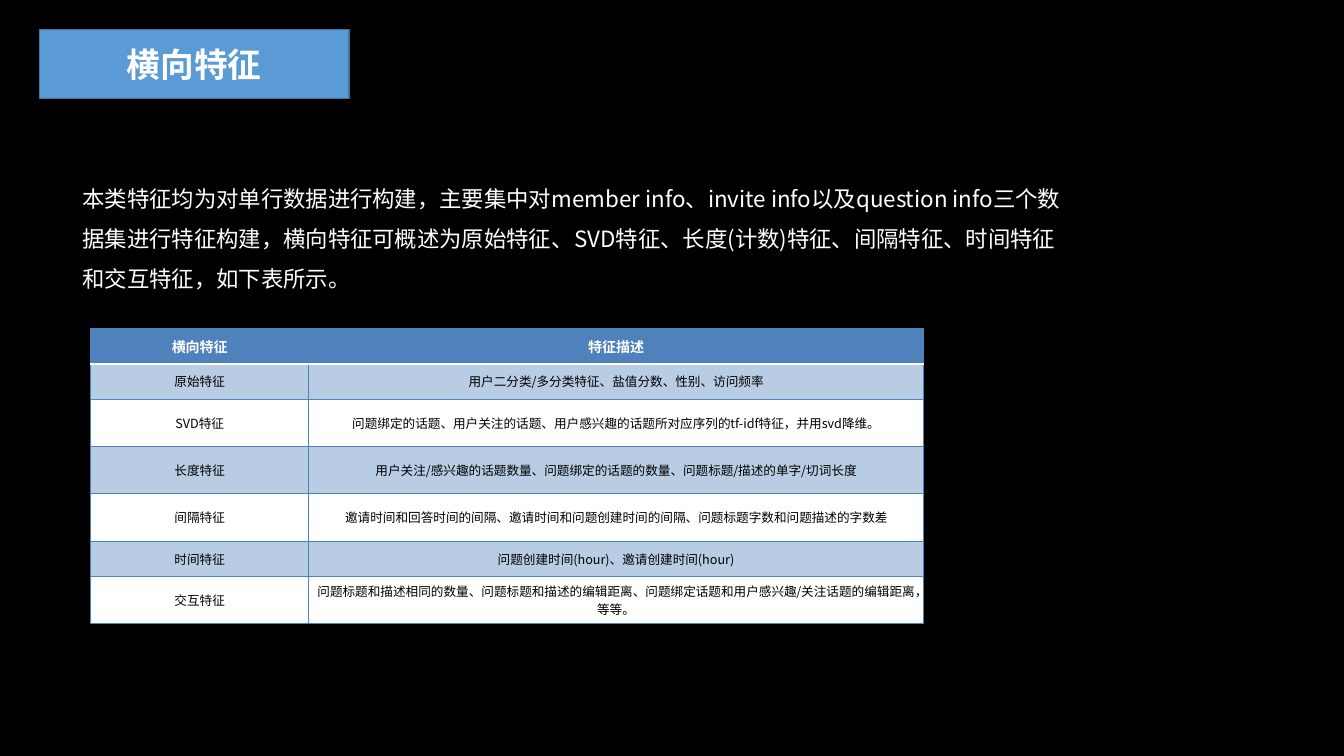
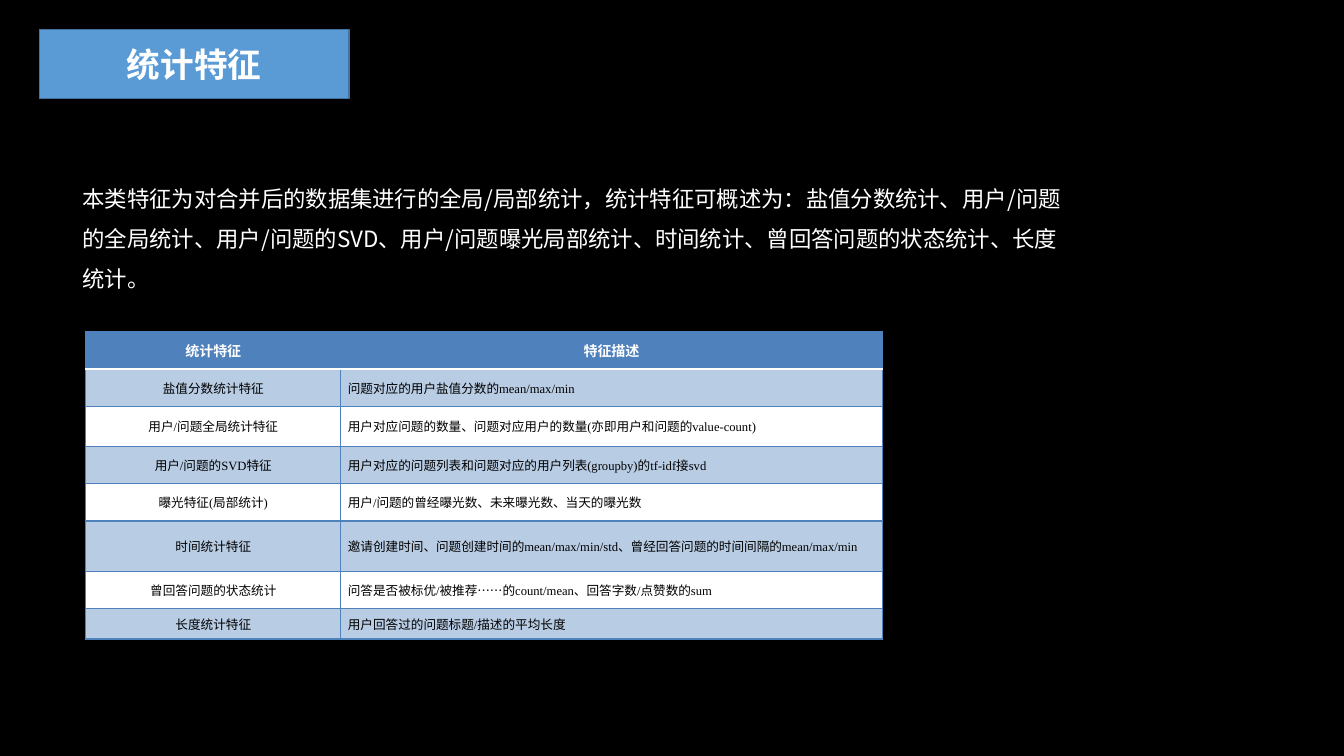
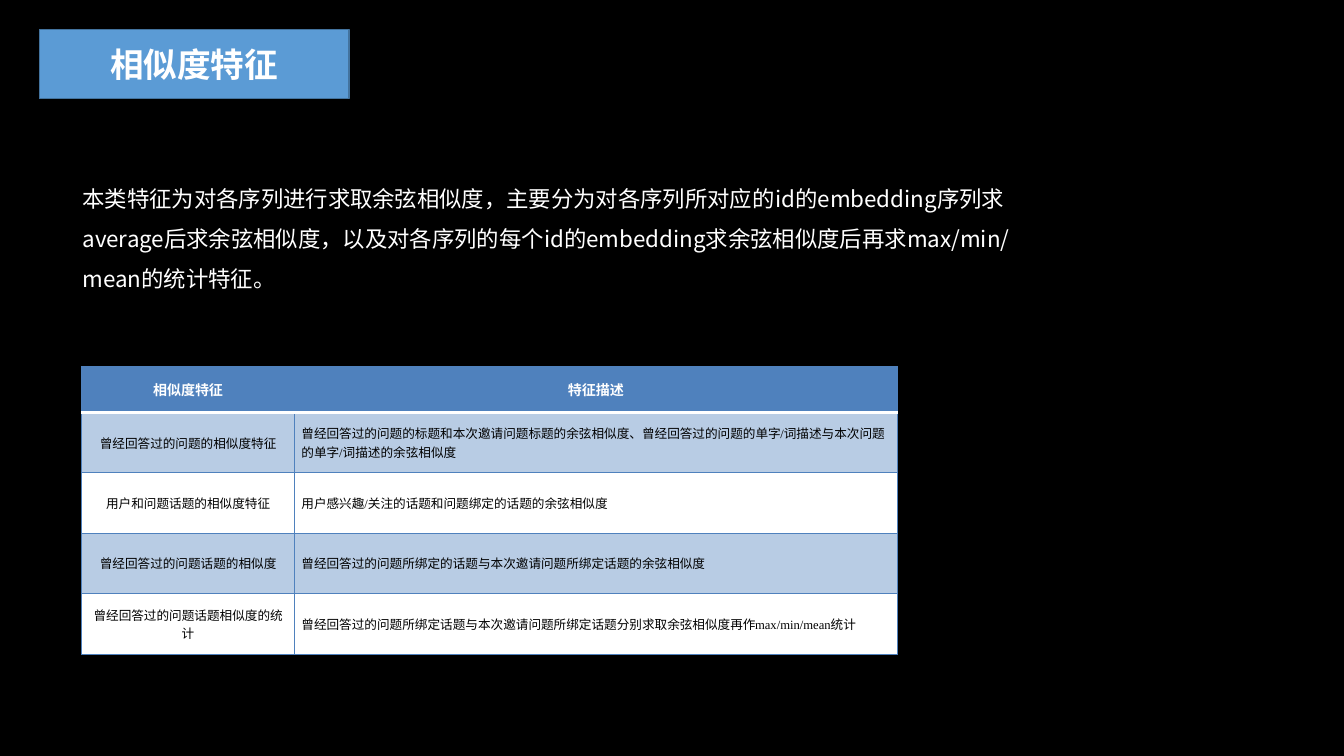
from itertools import groupby

from lxml.etree import SubElement
from pptx import Presentation
from pptx.dml.color import RGBColor
from pptx.enum.text import MSO_ANCHOR, MSO_AUTO_SIZE, PP_ALIGN
from pptx.oxml.ns import qn
from pptx.util import Inches, Pt

BLACK = RGBColor(0x00, 0x00, 0x00)
WHITE = RGBColor(0xFF, 0xFF, 0xFF)
TITLE_FILL = RGBColor(0x5B, 0x9B, 0xD5)
TITLE_LINE = RGBColor(0x43, 0x73, 0x9E)
HEADER_BLUE = RGBColor(0x4F, 0x81, 0xBD)
BAND_BLUE = RGBColor(0xB8, 0xCC, 0xE4)

SANS = "Noto Sans CJK SC"
SERIF = "Times New Roman"
TITLE_FONT = "Arial"

SLIDES = [
    {
        "title": "横向特征",
        "intro": "本类特征均为对单行数据进行构建，主要集中对member info、invite info以及question info"
                 "三个数据集进行特征构建，横向特征可概述为原始特征、SVD特征、长度(计数)特征、间隔特征、"
                 "时间特征和交互特征，如下表所示。",
        "at": (0.9, 3.26),
        "cols": (2.16, 6.1),
        "heights": (0.35, 0.35, 0.47, 0.47, 0.47, 0.35, 0.47),
        "latin": SANS,
        "align": PP_ALIGN.CENTER,
        "rows": [
            ("原始特征", "用户二分类/多分类特征、盐值分数、性别、访问频率"),
            ("SVD特征", "问题绑定的话题、用户关注的话题、用户感兴趣的话题所对应序列的tf-idf特征，并用svd降维。"),
            ("长度特征", "用户关注/感兴趣的话题数量、问题绑定的话题的数量、问题标题/描述的单字/切词长度"),
            ("间隔特征", "邀请时间和回答时间的间隔、邀请时间和问题创建时间的间隔、问题标题字数和问题描述的字数差"),
            ("时间特征", "问题创建时间(hour)、邀请创建时间(hour)"),
            ("交互特征", "问题标题和描述相同的数量、问题标题和描述的编辑距离、"
                     "问题绑定话题和用户感兴趣/关注话题的编辑距离，等等。"),
        ],
    },
    {
        "title": "统计特征",
        "intro": "本类特征为对合并后的数据集进行的全局/局部统计，统计特征可概述为：盐值分数统计、"
                 "用户/问题的全局统计、用户/问题的SVD、用户/问题曝光局部统计、时间统计、"
                 "曾回答问题的状态统计、长度统计。",
        "at": (0.85, 3.29),
        "cols": (2.53, 5.37),
        "heights": (0.37, 0.37, 0.4, 0.37, 0.37, 0.5, 0.37, 0.3),
        "latin": SERIF,
        "align": PP_ALIGN.LEFT,
        "rows": [
            ("盐值分数统计特征", "问题对应的用户盐值分数的mean/max/min"),
            ("用户/问题全局统计特征", "用户对应问题的数量、问题对应用户的数量(亦即用户和问题的value-count)"),
            ("用户/问题的SVD特征", "用户对应的问题列表和问题对应的用户列表(groupby)的tf-idf接svd"),
            ("曝光特征(局部统计)", "用户/问题的曾经曝光数、未来曝光数、当天的曝光数"),
            ("时间统计特征", "邀请创建时间、问题创建时间的mean/max/min/std、曾经回答问题的时间间隔的mean/max/min"),
            ("曾回答问题的状态统计", "问答是否被标优/被推荐……的count/mean、回答字数/点赞数的sum"),
            ("长度统计特征", "用户回答过的问题标题/描述的平均长度"),
        ],
    },
    {
        "title": "相似度特征",
        "intro": "本类特征为对各序列进行求取余弦相似度，主要分为对各序列所对应的id的embedding序列求"
                 "average后求余弦相似度，以及对各序列的每个id的embedding求余弦相似度后再求"
                 "max/min/mean的统计特征。",
        "at": (0.81, 3.64),
        "cols": (2.11, 5.98),
        "heights": (0.45, 0.6, 0.6, 0.6, 0.6),
        "latin": SERIF,
        "align": PP_ALIGN.LEFT,
        "rows": [
            ("曾经回答过的问题的相似度特征", "曾经回答过的问题的标题和本次邀请问题标题的余弦相似度、"
                               "曾经回答过的问题的单字/词描述与本次问题的单字/词描述的余弦相似度"),
            ("用户和问题话题的相似度特征", "用户感兴趣/关注的话题和问题绑定的话题的余弦相似度"),
            ("曾经回答过的问题话题的相似度", "曾经回答过的问题所绑定的话题与本次邀请问题所绑定话题的余弦相似度"),
            ("曾经回答过的问题话题相似度的统计",
             "曾经回答过的问题所绑定话题与本次邀请问题所绑定话题分别求取余弦相似度再作max/min/mean统计"),
        ],
    },
]


def set_font(p, size, color, name=SANS, bold=False):
    """Set the paragraph's font, with the CJK font for East Asian text."""
    p.font.size, p.font.bold, p.font.name = Pt(size), bold, name
    p.font.color.rgb = color
    SubElement(p._p.pPr.defRPr, qn("a:ea"), typeface=SANS)


def add_runs(p, text, latin):
    """Split text into Chinese and Latin runs when their fonts differ."""
    if latin == SANS:
        p.add_run().text = text
        return
    for is_latin, chars in groupby(text, lambda c: c.isascii() or c == "…"):
        r = p.add_run()
        r.text = "".join(chars)
        if is_latin:
            r.font.name = latin


def set_borders(cell, top, bottom):
    tcPr = cell._tc.get_or_add_tcPr()
    thin = (HEADER_BLUE, 1)
    for side, (color, width) in zip("LRTB", (thin, thin, top, bottom)):
        ln = SubElement(tcPr, qn(f"a:ln{side}"), w=str(Pt(width)))
        SubElement(SubElement(ln, qn("a:solidFill")), qn("a:srgbClr"), val=str(color))


def fill_cell(cell, text, row, align, latin):
    thin, thick = (HEADER_BLUE, 1), (WHITE, 2.25)
    set_borders(cell, thick if row == 1 else thin, thick if row == 0 else thin)
    cell.fill.solid()
    cell.fill.fore_color.rgb = HEADER_BLUE if row == 0 else BAND_BLUE if row % 2 else WHITE
    cell.vertical_anchor = MSO_ANCHOR.MIDDLE
    cell.margin_left = cell.margin_right = Inches(0.07)
    cell.margin_top = cell.margin_bottom = 0
    p = cell.text_frame.paragraphs[0]
    p.alignment = align
    add_runs(p, text, latin)
    if row == 0:
        set_font(p, 10, WHITE, bold=True)
    else:
        set_font(p, 9, BLACK)


def add_title(s, text):
    title = s.shapes.title
    title.left, title.top = Inches(0.39), Inches(0.29)
    title.width, title.height = Inches(3.07), Inches(0.69)
    title.fill.solid()
    title.fill.fore_color.rgb = TITLE_FILL
    title.line.color.rgb = TITLE_LINE
    title.line.width = Pt(1)
    tf = title.text_frame
    tf.text = text
    tf.auto_size = MSO_AUTO_SIZE.NONE
    tf.vertical_anchor = MSO_ANCHOR.MIDDLE
    p = tf.paragraphs[0]
    p.alignment = PP_ALIGN.CENTER
    set_font(p, 24, WHITE, TITLE_FONT, bold=True)


def add_intro(s, text):
    tf = s.shapes.add_textbox(Inches(0.72), Inches(1.65), Inches(9.97), Inches(1.31)).text_frame
    tf.word_wrap = True
    tf.text = text
    p = tf.paragraphs[0]
    p.line_spacing = 1.5
    set_font(p, 16, WHITE)


def add_feature_table(s, data):
    rows = [(data["title"], "特征描述"), *data["rows"]]
    left, top = data["at"]
    table = s.shapes.add_table(len(rows), 2, Inches(left), Inches(top),
                               Inches(sum(data["cols"])), Inches(sum(data["heights"]))).table
    for col, width in zip(table.columns, data["cols"]):
        col.width = Inches(width)
    for i, (texts, height) in enumerate(zip(rows, data["heights"])):
        table.rows[i].height = Inches(height)
        for j, text in enumerate(texts):
            align = data["align"] if i and j else PP_ALIGN.CENTER
            fill_cell(table.cell(i, j), text, i, align, data["latin"])


def main():
    prs = Presentation()
    prs.slide_width, prs.slide_height = Inches(13.33), Inches(7.5)
    background = prs.slide_master.background.fill
    background.solid()
    background.fore_color.rgb = BLACK
    title_only = prs.slide_layouts[5]
    for data in SLIDES:
        s = prs.slides.add_slide(title_only)
        add_title(s, data["title"])
        add_intro(s, data["intro"])
        add_feature_table(s, data)
    prs.save("out.pptx")


if __name__ == "__main__":
    main()
